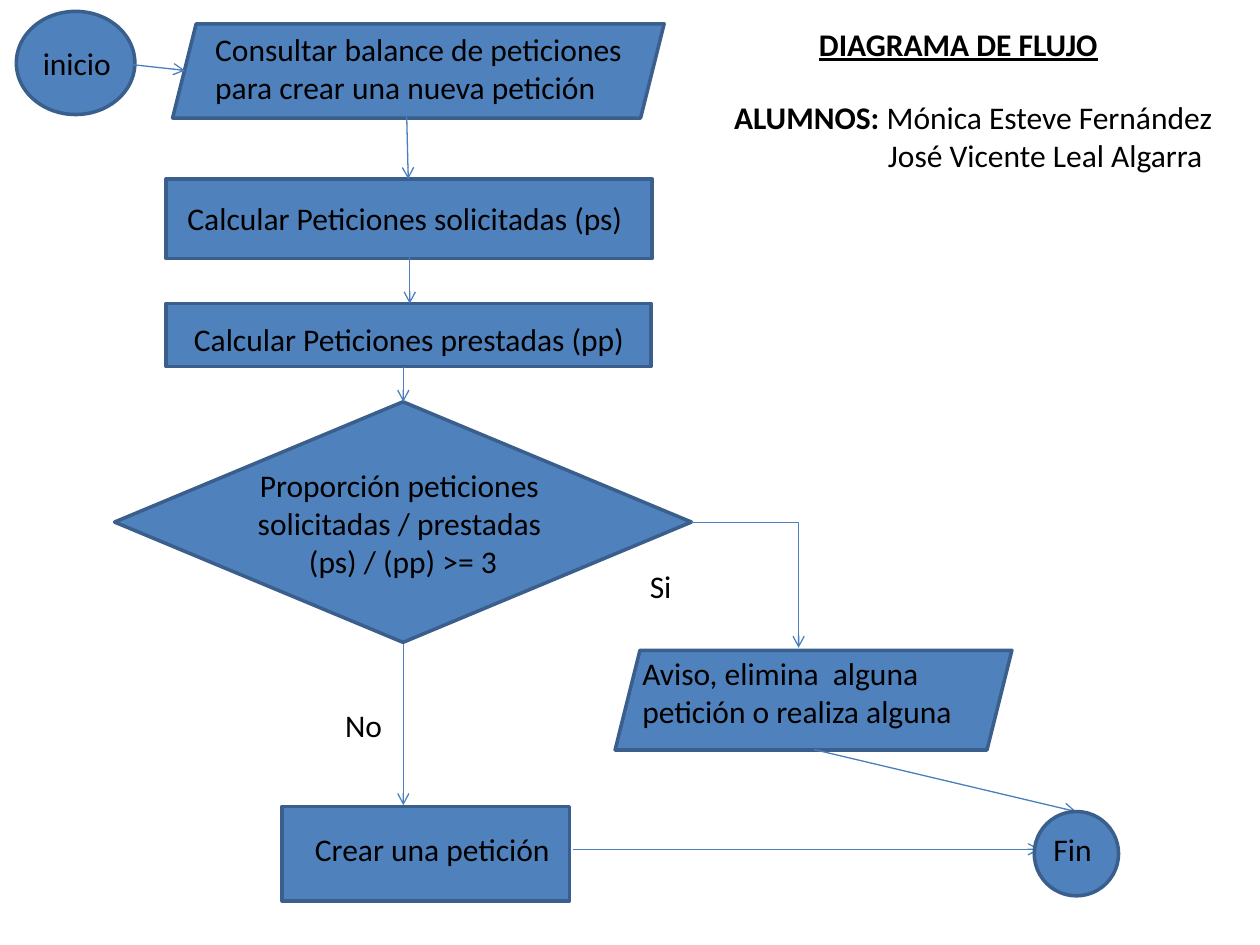
from lxml.etree import SubElement
from pptx import Presentation
from pptx.dml.color import RGBColor
from pptx.enum.shapes import MSO_CONNECTOR as Link, MSO_SHAPE as Shape
from pptx.enum.text import MSO_AUTO_SIZE as AutoSize, PP_ALIGN as Align
from pptx.oxml.ns import qn
from pptx.util import Cm, Pt

COLOURS = {"fill": "4F81BD", "border": "3A5F8C", "arrow": "4B7EBC", "text": "000000"}
BODY = {"name": "Calibri", "size": Pt(18), "bold": False}
BOLD = {**BODY, "bold": True}
TITLE = {**BOLD, "underline": True}


def colour(name):
    return RGBColor.from_string(COLOURS[name])


class FlowChart:
    """Holds the style and the slide being drawn; all lengths are in cm."""

    def __init__(self, slide):
        self.shapes = slide.shapes

    def node(self, kind, *box):
        node = self.shapes.add_shape(kind, *map(Cm, box))
        node.shadow.inherit = False
        node.fill.solid()
        node.fill.fore_color.rgb = colour("fill")
        node.line.color.rgb = colour("border")
        node.line.width = Pt(2)

    def text(self, box, *paragraphs, align=Align.LEFT, indents=()):
        """Each paragraph is a string or a list of (string, format) pairs."""
        frame = self.shapes.add_textbox(*map(Cm, box)).text_frame
        frame.word_wrap = True
        frame.auto_size = AutoSize.SHAPE_TO_FIT_TEXT
        for index, content in enumerate(paragraphs):
            paragraph = frame.add_paragraph() if index else frame.paragraphs[0]
            paragraph.alignment = align
            if index < len(indents):
                paragraph._p.get_or_add_pPr().set("marL", str(Cm(indents[index])))
            runs = [(content, BODY)] if isinstance(content, str) else content
            for words, style in runs:
                run = paragraph.add_run()
                run.text = words
                run.font.color.rgb = colour("text")
                for key, value in style.items():
                    setattr(run.font, key, value)

    def arrow(self, *ends, bent=False):
        kind = Link.ELBOW if bent else Link.STRAIGHT
        arrow = self.shapes.add_connector(kind, *map(Cm, ends))
        arrow.line.color.rgb = colour("arrow")
        arrow.line.width = Pt(0.75)
        properties = arrow._element.spPr
        if bent:  # a single corner instead of two
            properties.find(qn("a:prstGeom")).set("prst", "bentConnector2")
        SubElement(properties.find(qn("a:ln")), qn("a:tailEnd"), type="arrow")
        SubElement(properties, qn("a:effectLst"))


def main():
    deck = Presentation()
    deck.slide_width, deck.slide_height = Cm(25.4), Cm(19.05)
    chart = FlowChart(deck.slides.add_slide(deck.slide_layouts[6]))

    # Steps
    for step in (
        (Shape.OVAL, 0.33, 0.23, 2.39, 2.08),
        (Shape.PARALLELOGRAM, 3.48, 0.48, 9.91, 1.9),
        (Shape.RECTANGLE, 3.35, 3.61, 9.8, 1.6),
        (Shape.RECTANGLE, 3.35, 6.12, 9.78, 1.27),
        (Shape.DIAMOND, 2.31, 8.1, 11.63, 4.85),
        (Shape.PARALLELOGRAM, 12.4, 13.11, 8, 2.01),
        (Shape.RECTANGLE, 5.69, 16.26, 5.79, 1.9),
    ):
        chart.node(*step)

    # Flow between the steps
    for ends in (
        (2.64, 1.3, 3.73, 1.42),
        (8.2, 2.36, 8.23, 3.61),
        (8.26, 5.18, 8.26, 6.12),
        (8.13, 7.39, 8.13, 8.1),
        (8.13, 12.98, 8.13, 16.23),
        (16.41, 15.11, 21.69, 16.36),
        (11.56, 17.12, 20.96, 17.12),
    ):
        chart.arrow(*ends)
    chart.arrow(13.94, 10.54, 16.1, 13.06, bent=True)

    # The end circle covers the tips of its arrows
    chart.node(Shape.OVAL, 20.85, 16.36, 1.7, 1.7)

    # Step wording
    for box, words in (
        ((4.09, 0.48, 9.4, 1.8),
         "Consultar balance de peticiones para crear una nueva petición"),
        ((3.53, 3.89, 12.17, 1.02), "Calcular Peticiones solicitadas (ps)"),
        ((3.66, 6.32, 12.52, 1.02), "Calcular Peticiones prestadas (pp)"),
        ((12.7, 13.06, 6.78, 1.8),
         "Aviso, elimina  alguna petición o realiza alguna"),
        ((6.1, 16.61, 5.44, 1.02), "Crear una petición"),
        ((12.85, 11.3, 1.3, 1.02), "Si"),
        ((6.71, 14.1, 1.3, 1.02), "No"),
    ):
        chart.text(box, words)
    chart.text((0.46, 0.76, 2.18, 1.02), "inicio", align=Align.CENTER)
    chart.text((20.96, 16.61, 1.47, 1.02), "Fin ", align=Align.CENTER)
    chart.text((2.31, 9.27, 11.63, 2.57), "Proporción peticiones ",
               "solicitadas / prestadas ", "(ps) / (pp) >= 3", align=Align.CENTER)

    # Title and authors
    chart.text((16.26, 0.38, 6.4, 1.02), [("DIAGRAMA DE FLUJO", TITLE)])
    chart.text((14.55, 1.85, 10.69, 1.8),
               [("ALUMNOS: ", BOLD), ("Mónica Esteve Fernández", BODY)],
               "José Vicente Leal Algarra", indents=(0, 3.1))

    deck.save("out.pptx")


if __name__ == "__main__":
    main()
